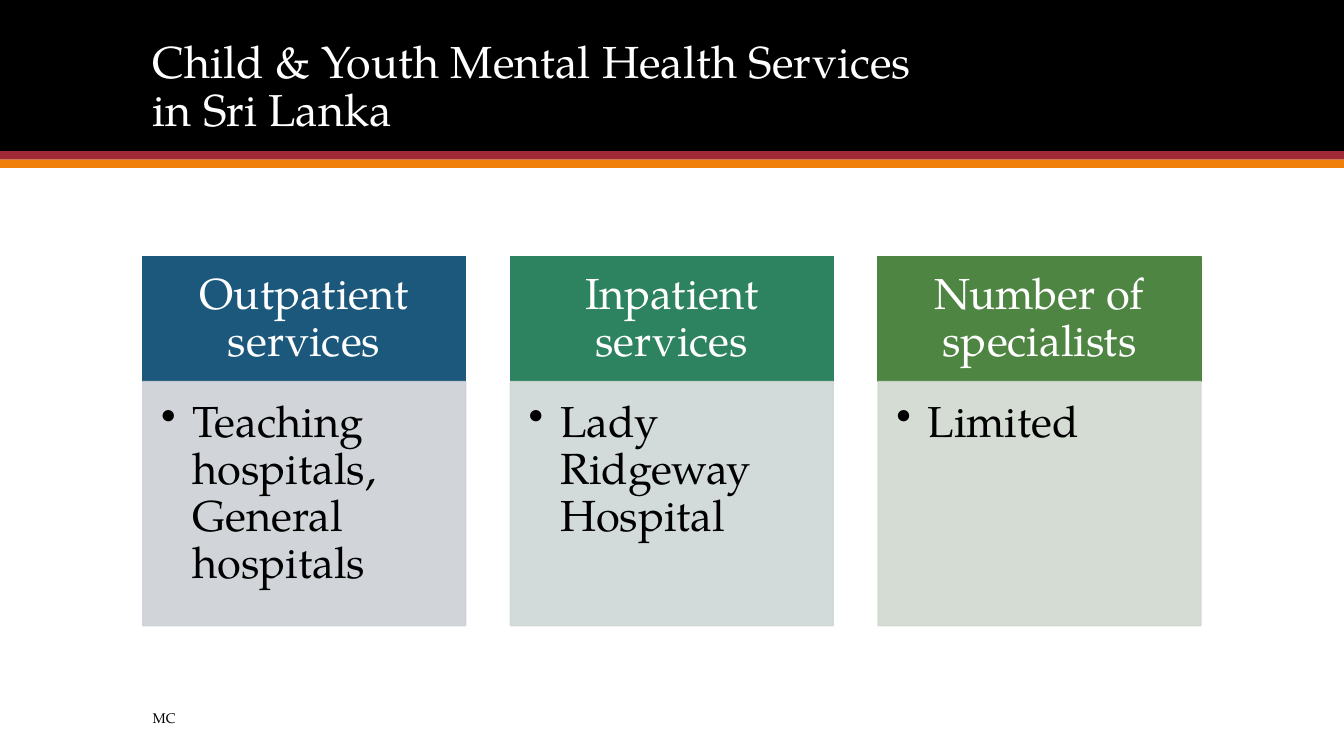
import pptx
import pptx.util
import pptx.dml.color
import pptx.enum.shapes
import pptx.enum.text
from lxml import etree

Pt = pptx.util.Pt
ALIGN = pptx.enum.text.PP_ALIGN
ANCHOR = pptx.enum.text.MSO_ANCHOR

# Content
TITLE = "Child & Youth Mental Health Services\vin Sri Lanka"
FOOTER = "MC"
SERVICES = [
    ("Outpatient services", "Teaching hospitals, General hospitals", "blue"),
    ("Inpatient services", "Lady Ridgeway Hospital", "teal"),
    ("Number of specialists", "Limited", "green"),
]
BANDS = [(0, 108, "black"), (108, 6, "red"), (114, 6, "orange")]  # top, height, colour

# Look
FONT = "TeX Gyre Pagella"
COLOURS = {
    "black": "000000", "white": "FFFFFF", "red": "9F2936", "orange": "F07F09",
    "blue": "1B587C", "teal": "2D8260", "green": "4E8542",
    "pale blue": "CDD1D7", "pale teal": "CED8D5", "pale green": "D0D9CF",
}
WIDTH, HEIGHT = 960, 540
LEFT = 102
COLUMN_WIDTH, COLUMN_STEP = 230.6, 262.6
HEADER_TOP, HEADER_HEIGHT = 183.1, 89.5
BODY_TOP, BODY_HEIGHT = HEADER_TOP + HEADER_HEIGHT, 174.4
BULLET_INDENT = 22.5


def rgb(name):
    return pptx.dml.color.RGBColor.from_string(COLOURS[name])


def add_box(slide, left, top, width, height, colour, line=False, opacity=None):
    shape = slide.shapes.add_shape(
        pptx.enum.shapes.MSO_SHAPE.RECTANGLE, Pt(left), Pt(top), Pt(width), Pt(height))
    shape.shadow.inherit = False
    shape.fill.solid()
    shape.fill.fore_color.rgb = rgb(colour)
    if line:
        shape.line.color.rgb = rgb(colour)
        shape.line.width = Pt(1)
    else:
        shape.line.fill.background()
    if opacity:
        properties = shape.element.spPr
        for node in properties.iter(pptx.oxml.ns.qn("a:srgbClr")):
            etree.SubElement(node, pptx.oxml.ns.qn("a:alpha"), val=str(opacity * 1000))
    return shape


def write(shape, text, size=31, colour="black", align=ALIGN.LEFT, anchor=ANCHOR.TOP,
          insets=(7.2, 3.6, 7.2, 3.6), spacing=0.9, bullet=False):
    frame = shape.text_frame
    frame.word_wrap = True
    frame.auto_size = pptx.enum.text.MSO_AUTO_SIZE.NONE
    frame.vertical_anchor = anchor
    (frame.margin_left, frame.margin_top,
     frame.margin_right, frame.margin_bottom) = map(Pt, insets)
    frame.text = text
    paragraph = frame.paragraphs[0]
    paragraph.alignment = align
    paragraph.line_spacing = spacing
    if bullet:
        properties = paragraph._p.get_or_add_pPr()
        properties.set("marL", str(Pt(BULLET_INDENT)))
        properties.set("indent", str(-Pt(BULLET_INDENT)))
        etree.SubElement(properties, pptx.oxml.ns.qn("a:buChar"), char="•")
    for run in paragraph.runs:
        run.font.name = FONT
        run.font.size = Pt(size)
        run.font.color.rgb = rgb(colour)


def main():
    presentation = pptx.Presentation()
    presentation.slide_width, presentation.slide_height = Pt(WIDTH), Pt(HEIGHT)
    slide = presentation.slides.add_slide(presentation.slide_layouts[5])

    # Banner, with the title in front of it
    for top, height, colour in BANDS:
        add_box(slide, 0, top, WIDTH, height, colour)
    title = slide.shapes.title
    title.left, title.top, title.width, title.height = Pt(LEFT), Pt(20), Pt(756), Pt(81)
    title.element.getparent().append(title.element)
    write(title, TITLE, size=32, colour="white", anchor=ANCHOR.BOTTOM)

    # One column per service
    for index, (heading, detail, colour) in enumerate(SERVICES):
        left = LEFT + index * COLUMN_STEP
        header = add_box(slide, left, HEADER_TOP, COLUMN_WIDTH, HEADER_HEIGHT, colour, line=True)
        write(header, heading, colour="white", align=ALIGN.CENTER, anchor=ANCHOR.MIDDLE,
              insets=(17.4, 10, 17.4, 10))
        body = add_box(slide, left, BODY_TOP, COLUMN_WIDTH, BODY_HEIGHT, "pale " + colour,
                       line=True, opacity=90)
        write(body, detail, insets=(13, 13, 17.4, 19.5), bullet=True)

    # Footer
    footer = slide.shapes.add_textbox(Pt(LEFT), Pt(502), Pt(492), Pt(21.6))
    write(footer, FOOTER, size=10, anchor=ANCHOR.MIDDLE, spacing=1.0)

    presentation.save("out.pptx")


if __name__ == "__main__":
    main()
